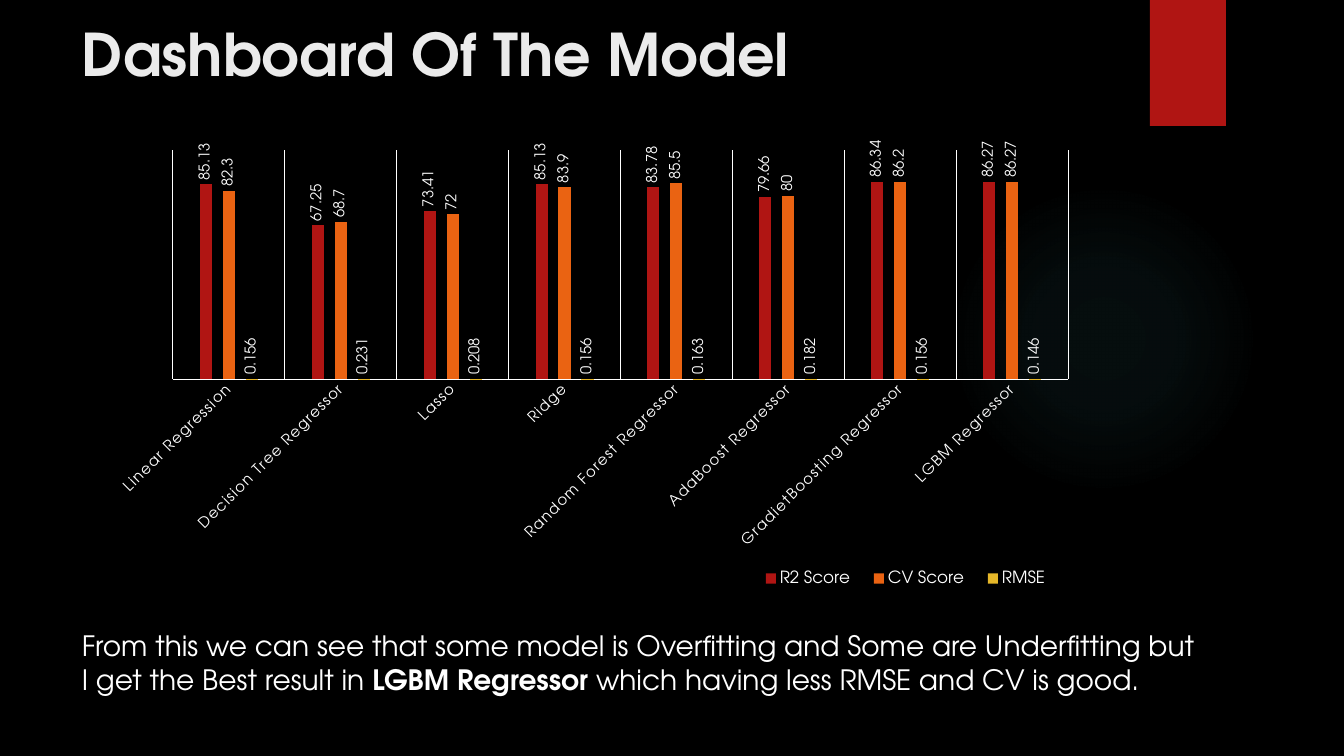
from dataclasses import dataclass

from lxml import etree
from pptx import Presentation
from pptx.chart.data import CategoryChartData
from pptx.dml.color import RGBColor
from pptx.enum.chart import XL_CHART_TYPE, XL_LABEL_POSITION, XL_LEGEND_POSITION, XL_TICK_MARK
from pptx.enum.shapes import MSO_SHAPE
from pptx.enum.text import MSO_ANCHOR
from pptx.oxml import parse_xml
from pptx.oxml.ns import nsdecls, qn
from pptx.util import Pt

COLUMNS = XL_CHART_TYPE.COLUMN_CLUSTERED
OUTSIDE_END = XL_LABEL_POSITION.OUTSIDE_END
LEGEND_TOP = XL_LEGEND_POSITION.TOP
NO_TICK = XL_TICK_MARK.NONE
RECT, OVAL = MSO_SHAPE.RECTANGLE, MSO_SHAPE.OVAL
TOP = MSO_ANCHOR.TOP
EMU_PER_PX = 914400 / 100.8


@dataclass(frozen=True)
class Theme:
    font: str = "TeX Gyre Adventor"
    background: str = "000000"
    title: str = "EBEBEB"
    text: str = "FFFFFF"
    accent: str = "B01513"
    glow: str = "50B9C1"
    series: tuple = ("B01513", "EA6312", "E6B729")
    title_size: float = 42
    body_size: float = 20
    legend_size: float = 12
    label_size: float = 10.6
    chart_size: float = 10


THEME = Theme()

MODELS = ("Linear Regression", "Decision Tree Regressor", "Lasso", "Ridge",
          "Random Forest Regressor", "AdaBoost Regressor",
          "GradietBoosting Regressor", "LGBM Regressor")
SCORES = {
    "R2 Score": (85.13, 67.25, 73.41, 85.13, 83.78, 79.66, 86.34, 86.27),
    "CV Score": (82.3, 68.7, 72, 83.9, 85.5, 80, 86.2, 86.27),
    "RMSE": (0.156, 0.231, 0.208, 0.156, 0.163, 0.182, 0.156, 0.146),
}
FINDINGS = (
    (("From this we can see that some model is Overfitting and Some are Underfitting but", False),),
    (("I get the Best result in ", False), ("LGBM Regressor ", True),
     ("which having less RMSE and CV is good.", False)),
)


def px(*lengths):
    return [round(n * EMU_PER_PX) for n in lengths]


def rgb(color):
    return RGBColor.from_string(color)


def style_font(font, size, color=THEME.text, bold=False):
    font.name = THEME.font
    font.size = Pt(size)
    font.bold = bold
    font.color.rgb = rgb(color)


def add_block(slide, kind, box, color):
    s = slide.shapes.add_shape(kind, *px(*box))
    s.shadow.inherit = False
    s.fill.solid()
    s.fill.fore_color.rgb = rgb(color)
    s.line.fill.background()
    return s


def add_glow(slide, box, color, stops):
    s = add_block(slide, OVAL, box, color)
    stop_xml = "".join(
        f'<a:gs pos="{pos * 1000}"><a:srgbClr val="{color}">'
        f'<a:alpha val="{alpha * 1000}"/></a:srgbClr></a:gs>' for pos, alpha in stops)
    gradient = parse_xml(
        f'<a:gradFill {nsdecls("a")} rotWithShape="1"><a:gsLst>{stop_xml}</a:gsLst>'
        '<a:path path="circle"><a:fillToRect l="50000" t="50000" r="50000" b="50000"/>'
        '</a:path></a:gradFill>')
    sp_pr = s._element.spPr
    sp_pr.replace(sp_pr.find(qn("a:solidFill")), gradient)


def add_text(slide, box, paragraphs, size, color):
    tf = slide.shapes.add_textbox(*px(*box)).text_frame
    tf.word_wrap = True
    tf.vertical_anchor = TOP
    for i, runs in enumerate(paragraphs):
        p = tf.add_paragraph() if i else tf.paragraphs[0]
        for text, bold in runs:
            r = p.add_run()
            r.text = text
            style_font(r.font, size, color, bold)


def set_layout(parent, index, box, target=None):
    for old in parent.findall(qn("c:layout")):
        parent.remove(old)
    layout = parse_xml(f'<c:layout {nsdecls("c")}><c:manualLayout/></c:layout>')
    manual = layout[0]
    values = {"xMode": "edge", "yMode": "edge", **dict(zip("xywh", box))}
    if target:
        values = {"layoutTarget": target, **values}
    for name, value in values.items():
        etree.SubElement(manual, qn(f"c:{name}")).set("val", str(value))
    parent.insert(index, layout)


def rotate_text(element, degrees):
    body = element.find(qn("c:txPr")).find(qn("a:bodyPr"))
    body.set("rot", str(degrees * 60000))
    body.set("vert", "horz")


def style_axes(chart):
    axis = chart.category_axis
    axis.major_tick_mark = axis.minor_tick_mark = NO_TICK
    axis.has_major_gridlines = True
    for line in (axis.format.line, axis.major_gridlines.format.line):
        line.color.rgb = rgb(THEME.text)
        line.width = Pt(0.75)
    style_font(axis.tick_labels.font, THEME.label_size)
    rotate_text(axis._element, -45)
    axis._element.find(".//" + qn("a:defRPr")).set("spc", "100")
    values = chart.value_axis
    values.minimum_scale, values.maximum_scale = 0, 100
    values.has_major_gridlines = False
    values.visible = False


def style_series(series, color):
    series.format.fill.solid()
    series.format.fill.fore_color.rgb = rgb(color)
    series.invert_if_negative = False
    labels = series.data_labels
    labels.show_value = True
    labels.position = OUTSIDE_END
    style_font(labels.font, THEME.label_size)
    rotate_text(labels._element, -90)


def add_score_chart(slide, box):
    data = CategoryChartData()
    data.categories = MODELS
    for name, values in SCORES.items():
        data.add_series(name, values)
    chart = slide.shapes.add_chart(COLUMNS, *px(*box), data).chart
    chart.has_title = False
    style_font(chart.font, THEME.chart_size)
    plot = chart.plots[0]
    plot.gap_width, plot.overlap = 444, -90
    plot.vary_by_categories = False
    style_axes(chart)
    for series, color in zip(plot.series, THEME.series):
        style_series(series, color)
    chart.has_legend = True
    legend = chart.legend
    legend.position = LEGEND_TOP
    legend.include_in_layout = False
    style_font(legend.font, THEME.legend_size)
    set_layout(legend._element, 1, (0.66, 0.91, 0.32, 0.06))
    plot_area = chart._chartSpace.chart.plotArea
    set_layout(plot_area, 0, (0.077, 0.121, 0.908, 0.438), "inner")


def main():
    prs = Presentation()
    prs.slide_width, prs.slide_height = px(1344, 756)
    slide = prs.slides.add_slide(prs.slide_layouts[6])
    slide.background.fill.solid()
    slide.background.fill.fore_color.rgb = rgb(THEME.background)
    add_glow(slide, (949, 184, 310, 310), THEME.glow, ((0, 7), (36, 6), (69, 0)))
    add_block(slide, RECT, (1150, 0, 76, 126), THEME.accent)
    add_text(slide, (72, 13, 1037, 154), ((("Dashboard Of The Model", True),),),
             THEME.title_size, THEME.title)
    add_score_chart(slide, (97, 87, 986, 523))
    add_text(slide, (72, 624, 1216, 78), FINDINGS, THEME.body_size, THEME.text)
    prs.save("out.pptx")


if __name__ == "__main__":
    main()
